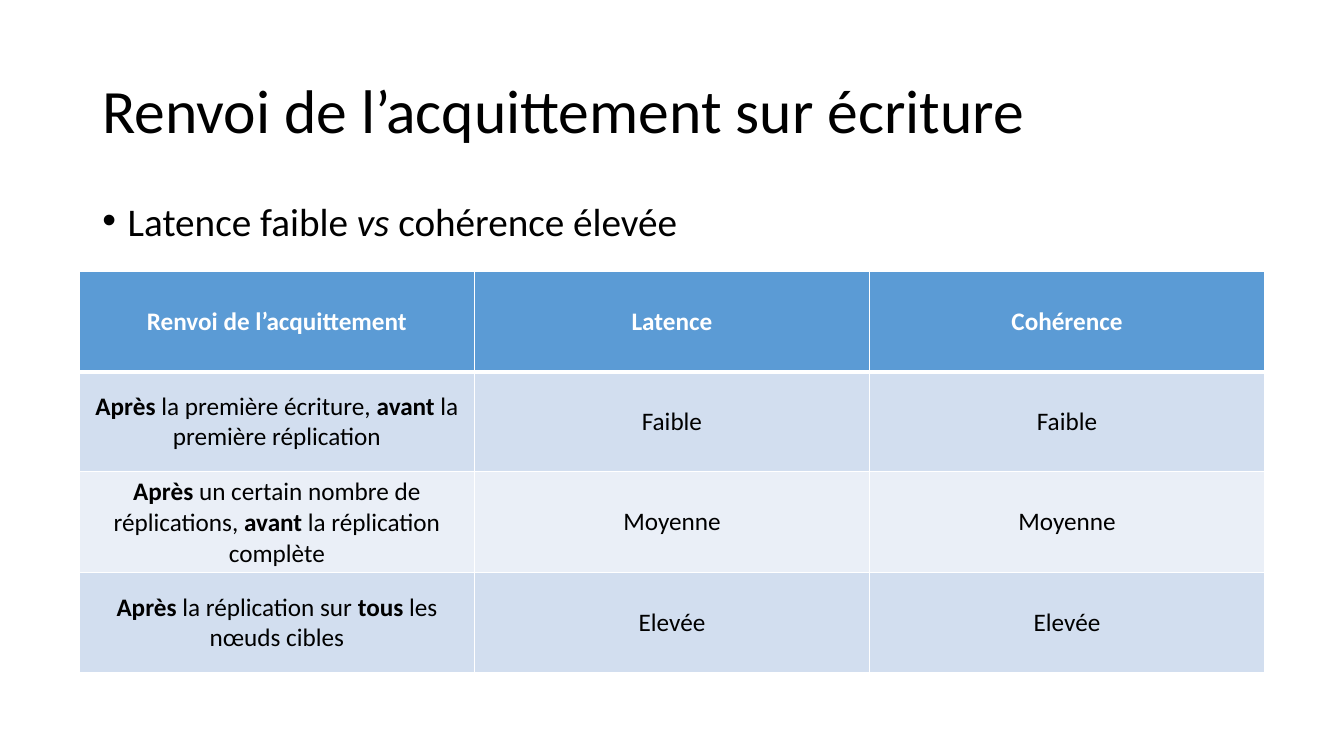
from lxml.etree import SubElement
from pptx import Presentation
from pptx.dml.color import RGBColor as Rgb
from pptx.enum.text import MSO_ANCHOR as Anchor, PP_ALIGN as Align
from pptx.oxml.ns import qn
from pptx.util import Cm, Pt

COLORS = {
    "text": "000000",
    "white": "FFFFFF",
    "head": "5B9BD5",
    "odd": "D2DEEF",
    "even": "EAEFF7",
}
FONT = "Calibri"
ROWS = [
    ["*Renvoi de l’acquittement*", "*Latence*", "*Cohérence*"],
    ["*Après* la première écriture, *avant* la première réplication", "Faible", "Faible"],
    ["*Après* un certain nombre de réplications, *avant* la réplication complète",
     "Moyenne", "Moyenne"],
    ["*Après* la réplication sur *tous* les nœuds cibles", "Elevée", "Elevée"],
]


def write(para, text, size, color="text", mark="bold"):
    for i, part in enumerate(text.split("*")):
        if not part:
            continue
        run = para.add_run()
        run.text = part
        font = run.font
        font.name, font.size = FONT, Pt(size)
        font.color.rgb = Rgb.from_string(COLORS[color])
        if i % 2:
            setattr(font, mark, True)
        else:
            font.bold = font.italic = False


def add_text(slide, text, top, height, size, space, anchor):
    box = slide.shapes.add_textbox(Cm(2.33), Cm(top), Cm(29.21), Cm(height))
    frame = box.text_frame
    frame.word_wrap = True
    frame.vertical_anchor = anchor
    para = frame.paragraphs[0]
    para.line_spacing = space
    write(para, text, size, mark="italic")
    return para


def add_bullet(para):
    para.space_before = Pt(10)
    props = para._p.get_or_add_pPr()
    props.set("marL", str(Cm(0.64)))
    props.set("indent", str(Cm(-0.64)))
    SubElement(props, qn("a:buFont"), typeface="Arial")
    SubElement(props, qn("a:buChar"), char="•")


def add_edges(cell, widths):
    props = cell._tc.get_or_add_tcPr()
    for side, width in widths.items():
        line = SubElement(props, qn(f"a:ln{side}"), w=str(Pt(width)))
        fill = SubElement(line, qn("a:solidFill"))
        SubElement(fill, qn("a:srgbClr"), val=COLORS["white"])


def fill_cell(cell, text, row):
    head = row == 0
    add_edges(cell, {"L": 1, "R": 1, "T": 3 if row == 1 else 1, "B": 3 if head else 1})
    shade = "head" if head else "odd" if row % 2 else "even"
    cell.fill.solid()
    cell.fill.fore_color.rgb = Rgb.from_string(COLORS[shade])
    cell.vertical_anchor = Anchor.MIDDLE
    para = cell.text_frame.paragraphs[0]
    para.alignment = Align.CENTER
    write(para, text, 18, "white" if head else "text")


def add_grid(slide, rows):
    frame = slide.shapes.add_table(
        len(rows), len(rows[0]), Cm(2), Cm(6.84), Cm(29.87), Cm(10.1))
    for r, row in enumerate(rows):
        for c, text in enumerate(row):
            fill_cell(frame.table.cell(r, c), text, r)


def main():
    deck = Presentation()
    deck.slide_width, deck.slide_height = Cm(33.87), Cm(19.05)
    slide = deck.slides.add_slide(deck.slide_layouts[6])
    add_text(slide, "Renvoi de l’acquittement sur écriture", 1.01, 3.68, 44, 0.9, Anchor.MIDDLE)
    point = add_text(slide, "Latence faible *vs* cohérence élevée", 5.07, 1.32, 28, 0.8, Anchor.TOP)
    add_bullet(point)
    add_grid(slide, ROWS)
    deck.save("out.pptx")


if __name__ == "__main__":
    main()
